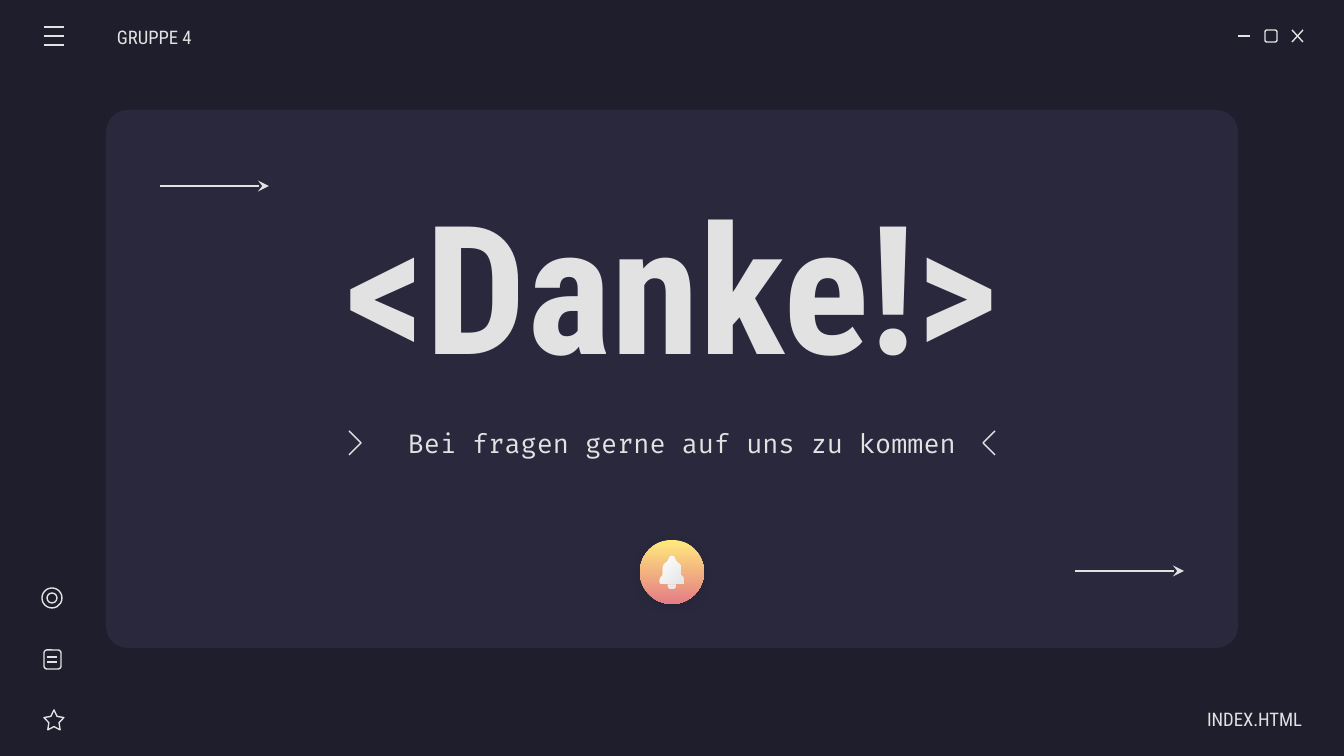
from dataclasses import dataclass
from math import cos, radians, sin

from lxml import etree
from pptx import Presentation
from pptx import util as u
from pptx.dml.color import RGBColor
from pptx.enum import shapes, text
from pptx.oxml import parse_xml
from pptx.oxml.ns import nsdecls, qn

PX = 914400 / 134.4
KIND = shapes.MSO_SHAPE


@dataclass(frozen=True)
class Theme:
    back: str = "1E1E2C"
    panel: str = "29283D"
    ink: str = "E2E2E2"
    sun: tuple = ("FFEA7D", "E57C85")
    silver: tuple = ("FFFFFF", "E2E2E2")
    head_font: str = "Roboto Condensed"
    code_font: str = "Fira Code"
    title: int = 96
    body: int = 14
    label: int = 10
    stroke: float = 0.75


T = Theme()


def emu(*values):
    return [u.Emu(round(v * PX)) for v in values]


def rgb(value):
    return RGBColor.from_string(value)


def paint(sp, fill=None, line=None, gradient=None, angle=0):
    sp.shadow.inherit = False
    if gradient:
        sp.fill.gradient()
        sp.fill.gradient_angle = angle
        for stop, color, pos in zip(sp.fill.gradient_stops, gradient, (0, 1)):
            stop.color.rgb = rgb(color)
            stop.position = pos
    elif fill:
        sp.fill.solid()
        sp.fill.fore_color.rgb = rgb(fill)
    else:
        sp.fill.background()
    if line:
        sp.line.color.rgb = rgb(line)
        sp.line.width = u.Pt(T.stroke)
    else:
        sp.line.fill.background()
    return sp


def shape(parent, kind, box, adj=None, **look):
    sp = parent.add_shape(kind, *emu(*box))
    if adj is not None:
        sp.adjustments[0] = adj
    return paint(sp, **look)


def line(parent, x1, y1, x2, y2, arrow=False):
    c = parent.add_connector(shapes.MSO_CONNECTOR.STRAIGHT, *emu(x1, y1, x2, y2))
    c.line.color.rgb = rgb(T.ink)
    c.line.width = u.Pt(T.stroke)
    if arrow:
        etree.SubElement(c.line._get_or_add_ln(), qn("a:tailEnd"), type="stealth")
    etree.SubElement(c._element.spPr, qn("a:effectLst"))


def outline(parent, contours, close=True, **look):
    fb = None
    for contour in contours:
        pts = [emu(*p) for p in contour]
        if fb is None:
            fb = parent.build_freeform(*pts[0])
        else:
            fb.move_to(*pts[0])
        fb.add_line_segments(pts[1:], close=close)
    return paint(fb.convert_to_shape(), **look)


def arc(cx, cy, r, start, end, steps=12):
    angles = [radians(start + (end - start) * i / steps) for i in range(steps + 1)]
    return [(cx + r * cos(a), cy + r * sin(a)) for a in angles]


def write(sp, words, size, font=T.head_font, align="LEFT", bold=False,
          insets=(13, 13, 13, 13), margin=0, indent=0):
    tf = sp.text_frame
    tf.word_wrap = True
    tf.auto_size = text.MSO_AUTO_SIZE.NONE
    tf.vertical_anchor = text.MSO_ANCHOR.MIDDLE
    tf.margin_left, tf.margin_top, tf.margin_right, tf.margin_bottom = emu(*insets)
    p = tf.paragraphs[0]
    p.alignment = getattr(text.PP_ALIGN, align)
    pPr = p._p.get_or_add_pPr()
    pPr.set("marL", str(emu(margin)[0]))
    pPr.set("indent", str(emu(indent)[0]))
    r = p.add_run()
    r.text = words
    r.font.size, r.font.name, r.font.bold = u.Pt(size), font, bold
    r.font.color.rgb = rgb(T.ink)


def label(s, box, words, size, **fmt):
    write(s.shapes.add_textbox(*emu(*box)), words, size, **fmt)


def window_buttons(s, x, y):
    g = s.shapes.add_group_shape().shapes
    line(g, x, y + 6, x + 12, y + 6)
    shape(g, KIND.ROUNDED_RECTANGLE, (x + 27, y, 12, 12), 0.167, line=T.ink)
    line(g, x + 54, y, x + 65, y + 12)
    line(g, x + 65, y, x + 54, y + 12)


def menu(s, x, y, w, gap):
    g = s.shapes.add_group_shape().shapes
    for i in range(3):
        line(g, x, y + i * gap, x + w, y + i * gap)


def sidebar(s, x, y, step):
    g = s.shapes.add_group_shape().shapes
    for inset in (0, 5):
        side = 20 - 2 * inset
        shape(g, KIND.OVAL, (x + inset, y + inset, side, side), line=T.ink)
    page = y + step
    shape(g, KIND.ROUNDED_RECTANGLE, (x + 2, page + 1, 17, 19), 0.167, line=T.ink)
    for dy in (8, 13):
        line(g, x + 5, page + dy, x + 15, page + dy)
    shape(g, KIND.STAR_5_POINT, (x + 2, y + 2 * step, 20, 20), 0.254, line=T.ink)


def bell_badge(s, x, y, d):
    g = s.shapes.add_group_shape().shapes
    badge = shape(g, KIND.OVAL, (x, y, d, d), gradient=T.sun, angle=270)
    spPr = badge._element.spPr
    spPr.remove(spPr.find(qn("a:effectLst")))
    spPr.append(parse_xml(
        f'<a:effectLst {nsdecls("a")}><a:outerShdw blurRad="{u.Pt(4.5)}" '
        f'dist="{u.Pt(1.5)}" dir="5400000" algn="bl" rotWithShape="0">'
        f'<a:srgbClr val="{T.back}"><a:alpha val="30000"/></a:srgbClr>'
        '</a:outerShdw></a:effectLst>'))
    cx, top = x + d / 2, y + 16
    body = (arc(cx - 3, top + 12, 6, 180, 250) + arc(cx, top + 3, 3, 180, 360)
            + arc(cx + 3, top + 12, 6, 290, 360)
            + [(cx + 9, top + 19), (cx + 12, top + 23)]
            + arc(cx + 10, top + 26, 2, 0, 90) + arc(cx - 10, top + 26, 2, 90, 180)
            + [(cx - 12, top + 23), (cx - 9, top + 19)])
    clapper = arc(cx, top + 29, 4, 0, 180)
    outline(g, [body, clapper], gradient=T.silver, angle=315)


def message(s, x, y, w, h):
    label(s, (x, y, w, h), "Bei fragen gerne auf uns zu kommen", T.body,
          font=T.code_font, align="CENTER", margin=67, indent=-47)
    g = s.shapes.add_group_shape().shapes
    mid = y + h / 2
    for tip, side in ((x + 1, -12), (x + w - 1, 12)):
        outline(g, [[(tip + side, mid - 12), (tip, mid), (tip + side, mid + 12)]],
                close=False, line=T.ink)


def panel(s, x, y, w, h):
    shape(s.shapes, KIND.ROUNDED_RECTANGLE, (x, y, w, h), 0.04, fill=T.panel)
    title = s.shapes.title
    title._element.getparent().append(title._element)
    title.left, title.top, title.width, title.height = emu(x + 158, y + 77, 816, 191)
    write(title, "<Danke!>", T.title, align="CENTER", bold=True)
    message(s, x + 254, y + 268, 624, 130)
    bell_badge(s, x + w / 2 - 32, y + 430, 64)
    for ax, ay in ((x + 54, y + 76), (x + w - 163, y + h - 77)):
        line(s.shapes, ax, ay, ax + 109, ay, arrow=True)


def closing_slide(prs):
    s = prs.slides.add_slide(prs.slide_layouts[5])
    s.background.fill.solid()
    s.background.fill.fore_color.rgb = rgb(T.back)
    panel(s, 106, 110, 1132, 538)
    window_buttons(s, 1238, 30)
    menu(s, 44, 27, 20, 9)
    sidebar(s, 42, 588, 61)
    label(s, (117, 17, 157, 40), "GRUPPE 4", T.label, insets=(0, 13, 13, 13))
    label(s, (1145, 699, 157, 40), "INDEX.HTML", T.label, align="RIGHT",
          insets=(13, 13, 0, 13))


prs = Presentation()
prs.slide_width, prs.slide_height = emu(1344, 756)
closing_slide(prs)
prs.save("out.pptx")
